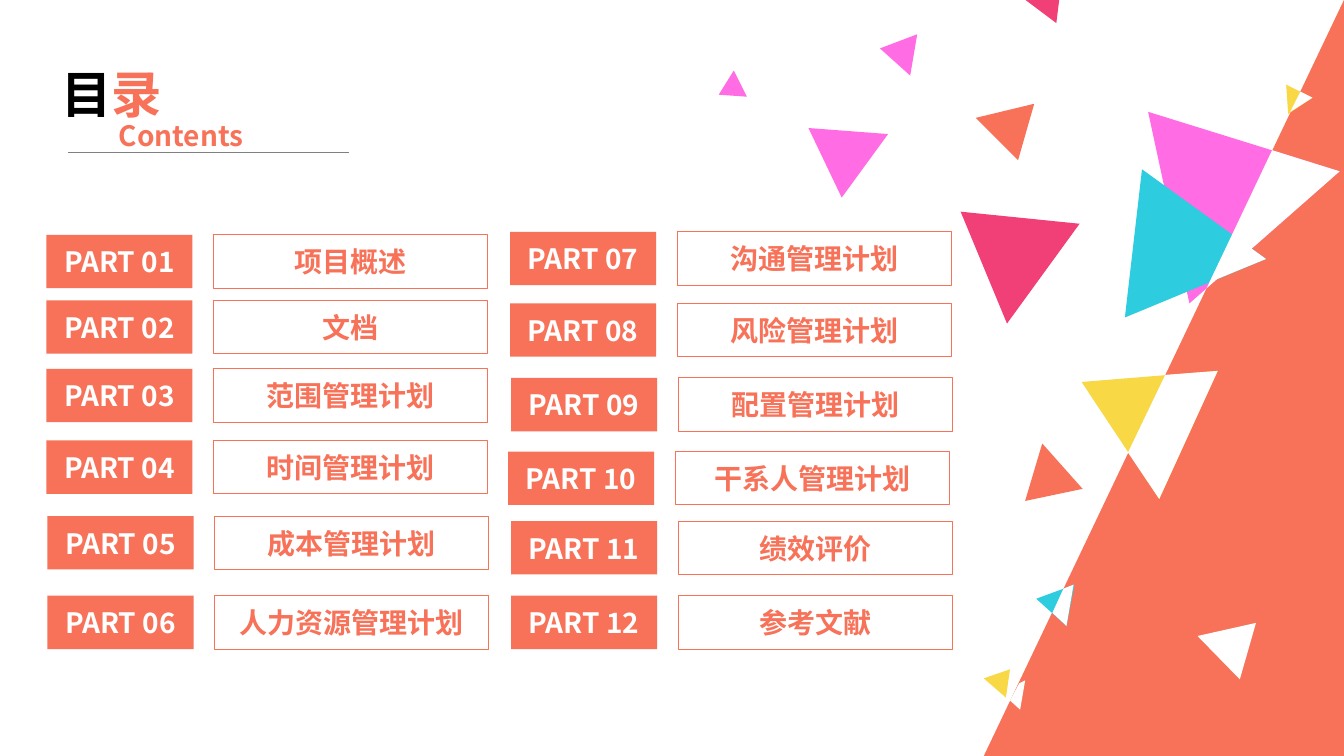
from dataclasses import dataclass

from lxml import etree
from pptx import Presentation
from pptx.dml.color import RGBColor
from pptx.enum.shapes import MSO_CONNECTOR, MSO_SHAPE
from pptx.enum.text import MSO_ANCHOR, MSO_AUTO_SIZE, PP_ALIGN
from pptx.oxml.ns import qn
from pptx.shapes.autoshape import Shape
from pptx.slide import Slide
from pptx.text.text import _Paragraph as Paragraph
from pptx.util import Inches, Length, Pt

RECTANGLE = MSO_SHAPE.RECTANGLE
TRIANGLE = MSO_SHAPE.ISOSCELES_TRIANGLE
STRAIGHT = MSO_CONNECTOR.STRAIGHT
MIDDLE = MSO_ANCHOR.MIDDLE
FIT_SHAPE = MSO_AUTO_SIZE.SHAPE_TO_FIT_TEXT
CENTER = PP_ALIGN.CENTER


@dataclass(frozen=True)
class Theme:
    font: str = "Noto Sans CJK SC"
    coral: str = "F77258"
    pink: str = "FF6CE4"
    cyan: str = "2DCCDF"
    yellow: str = "F8D845"
    crimson: str = "F04077"
    white: str = "FFFFFF"
    black: str = "000000"
    gray: str = "808080"
    heading_size: int = 36
    label_size: int = 20
    frame_width: float = 0.75
    rule_width: float = 0.5


@dataclass(frozen=True)
class Box:
    """A place on the grid, in cells."""
    left: float
    top: float
    width: float
    height: float


@dataclass(frozen=True)
class Entry:
    left: float
    top: float
    title: str


@dataclass(frozen=True)
class Shard:
    color: str
    corners: tuple[tuple[float, float], ...]


THEME = Theme()
SLIDE_COLUMNS, SLIDE_ROWS = 133.33, 75
TAG_WIDTH, TITLE_WIDTH, ENTRY_HEIGHT = 14.5, 27.2, 5.3
TITLE_OFFSET = 16.6

ENTRIES = (
    Entry(4.6, 23.3, "项目概述"),
    Entry(4.6, 29.8, "文档"),
    Entry(4.6, 36.6, "范围管理计划"),
    Entry(4.6, 43.7, "时间管理计划"),
    Entry(4.7, 51.2, "成本管理计划"),
    Entry(4.7, 59.1, "人力资源管理计划"),
    Entry(50.6, 23, "沟通管理计划"),
    Entry(50.6, 30.1, "风险管理计划"),
    Entry(50.7, 37.5, "配置管理计划"),
    Entry(50.4, 44.8, "干系人管理计划"),
    Entry(50.7, 51.7, "绩效评价"),
    Entry(50.7, 59.1, "参考文献"),
)

SHARDS = (
    Shard(THEME.coral, ((102.6, 10.3), (101, 15.9), (96.8, 11.7))),
    Shard(THEME.pink, ((118, 30.1), (113.9, 11.1), (132.9, 17))),
    Shard(THEME.cyan, ((111.6, 31.5), (113.3, 16.8), (125.6, 25.7))),
    Shard(THEME.cyan, ((102.8, 59.4), (106.6, 58), (105.8, 62.1))),
    Shard(THEME.yellow, ((97.6, 67.3), (100.2, 66.4), (99.8, 69.2))),
    Shard(THEME.yellow, ((107.3, 37.9), (120.8, 36.8), (115, 49.5))),
    Shard(THEME.crimson, ((107.1, 22.2), (99.9, 32.1), (95.3, 21))),
    Shard(THEME.yellow, ((127.8, 11.3), (127.6, 8.4), (130.2, 9.7))),
    Shard(THEME.pink, ((87.3, 4.8), (91, 3.4), (90.3, 7.5))),
    Shard(THEME.crimson, ((104.8, 2.3), (101.6, -0.1), (105.3, -1.7))),
    Shard(THEME.pink, ((83.5, 19.6), (80.2, 12.7), (88.1, 13.3))),
    Shard(THEME.coral, ((107.4, 48.5), (101.7, 49.7), (103.4, 44))),
    Shard(THEME.white, ((124.6, 61.8), (123, 67.4), (118.8, 63.1))),
    Shard(THEME.white, ((126.2, 14.9), (132.9, 17), (119.7, 28.6))),
    Shard(THEME.white, ((122.3, 23.3), (125.6, 25.7), (120, 28))),
    Shard(THEME.white, ((106.5, 58), (105.8, 62.1), (104.4, 60.8), (105.5, 58.4))),
    Shard(THEME.white, ((101.7, 67.5), (101.2, 70.4), (100.2, 69.5), (101.1, 67.8))),
    Shard(THEME.white, ((120.8, 36.8), (115, 49.5), (111.9, 44.9), (115.6, 37.2))),
    Shard(THEME.white, ((129, 9.1), (130.2, 9.7), (128, 11.1))),
    Shard(THEME.pink, ((71.3, 9.4), (72.8, 7), (74.1, 9.6))),
)


def cells(count: float) -> Length:
    """Length of a number of grid cells, each a tenth of an inch."""
    return Inches(count / 10)


def place(box: Box) -> tuple[Length, Length, Length, Length]:
    return cells(box.left), cells(box.top), cells(box.width), cells(box.height)


def paint(shape: Shape, color: str) -> None:
    shape.shadow.inherit = False
    shape.fill.solid()
    shape.fill.fore_color.rgb = RGBColor.from_string(color)
    shape.line.fill.background()


def add_run(paragraph: Paragraph, text: str, size: int, color: str) -> None:
    run = paragraph.add_run()
    run.text = text
    run.font.size = Pt(size)
    run.font.bold = True
    run.font.name = THEME.font
    run.font.color.rgb = RGBColor.from_string(color)
    east_asian = etree.SubElement(run.font._element, qn("a:ea"))
    east_asian.set("typeface", THEME.font)


def add_label(slide: Slide, box: Box, text: str, color: str) -> Shape:
    """Add a rectangle with centred text, ready for its fill and line."""
    shape = slide.shapes.add_shape(RECTANGLE, *place(box))
    shape.shadow.inherit = False
    frame = shape.text_frame
    frame.word_wrap = True
    frame.vertical_anchor = MIDDLE
    frame.margin_top = frame.margin_bottom = 0
    paragraph = frame.paragraphs[0]
    paragraph.alignment = CENTER
    add_run(paragraph, text, THEME.label_size, color)
    return shape


def add_entry(slide: Slide, number: int, entry: Entry) -> None:
    title_box = Box(entry.left + TITLE_OFFSET, entry.top, TITLE_WIDTH, ENTRY_HEIGHT)
    title = add_label(slide, title_box, entry.title, THEME.coral)
    title.fill.background()
    title.line.color.rgb = RGBColor.from_string(THEME.coral)
    title.line.width = Pt(THEME.frame_width)
    tag_box = Box(entry.left, entry.top, TAG_WIDTH, ENTRY_HEIGHT)
    paint(add_label(slide, tag_box, f"PART {number:02}", THEME.white), THEME.coral)


def add_shard(slide: Slide, shard: Shard) -> None:
    first, *others = [(cells(x), cells(y)) for x, y in shard.corners]
    builder = slide.shapes.build_freeform(*first)
    builder.add_line_segments(others, close=True)
    paint(builder.convert_to_shape(), shard.color)


def add_heading_text(slide: Slide, box: Box, size: int, parts: dict[str, str]) -> None:
    """Add a text box with one run for each pair of text and colour."""
    frame = slide.shapes.add_textbox(*place(box)).text_frame
    frame.word_wrap = True
    frame.auto_size = FIT_SHAPE
    for text, color in parts.items():
        add_run(frame.paragraphs[0], text, size, color)


def add_heading(slide: Slide) -> None:
    add_heading_text(slide, Box(5.1, 5.8, 15.7, 7.1), THEME.heading_size,
                     {"目": THEME.black, "录": THEME.coral})
    rule = slide.shapes.add_connector(
        STRAIGHT, cells(6.7), cells(15.1), cells(34.6), cells(15.1))
    rule.line.color.rgb = RGBColor.from_string(THEME.gray)
    rule.line.width = Pt(THEME.rule_width)
    etree.SubElement(rule._element.spPr, qn("a:effectLst"))
    add_heading_text(slide, Box(10.8, 11.3, 15.7, 4.4), THEME.label_size,
                     {"Contents": THEME.coral})


def main() -> None:
    presentation = Presentation()
    presentation.slide_width = cells(SLIDE_COLUMNS)
    presentation.slide_height = cells(SLIDE_ROWS)
    slide = presentation.slides.add_slide(presentation.slide_layouts[6])
    corner = slide.shapes.add_shape(TRIANGLE, *place(Box(97.6, 0, 35.73, 75)))
    corner.adjustments[0] = 1
    paint(corner, THEME.coral)
    add_heading(slide)
    for shard in SHARDS:
        add_shard(slide, shard)
    for number, entry in enumerate(ENTRIES, start=1):
        add_entry(slide, number, entry)
    presentation.save("out.pptx")


if __name__ == "__main__":
    main()
